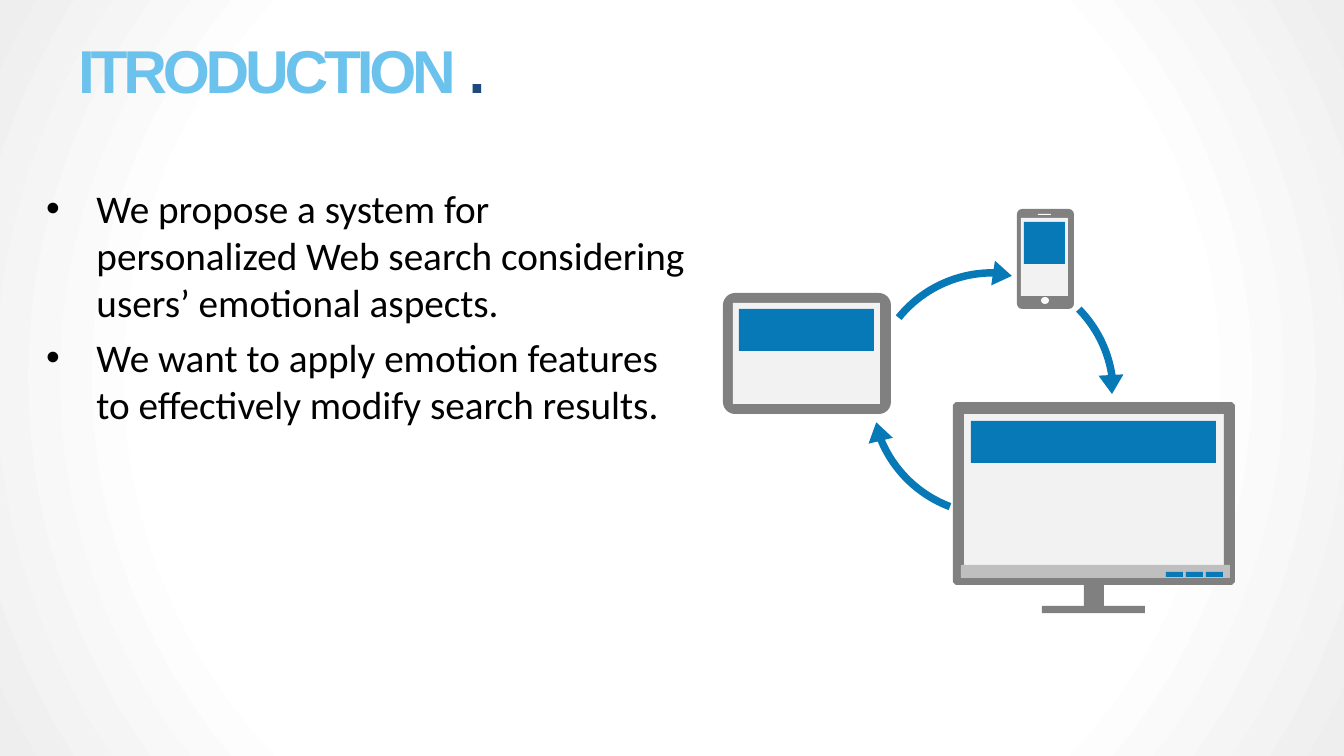
from dataclasses import dataclass
from typing import Any

from lxml.etree import SubElement
from pptx import Presentation
from pptx.dml.color import RGBColor as Rgb
from pptx.enum.shapes import MSO_SHAPE as Preset
from pptx.enum.text import MSO_ANCHOR as Anchor, MSO_AUTO_SIZE as AutoSize, PP_ALIGN as Align
from pptx.oxml.ns import qn
from pptx.util import Emu, Pt

EMU_PER_PIXEL = 914400 / 100.8


@dataclass(frozen=True)
class Theme:
    """Colours, fonts and type sizes of the slide."""
    frame: str = "808080"
    screen: str = "F2F2F2"
    accent: str = "0779B7"
    taskbar: str = "BFBFBF"
    detail: str = "FCFBF9"
    title: str = "6BC2ED"
    full_stop: str = "1F497D"
    body: str = "000000"
    center: str = "FFFFFF"
    edge: str = "EEEEEE"
    title_font: str = "Arial"
    body_font: str = "Calibri"
    title_size: float = 43.2
    body_size: float = 28


THEME = Theme()


@dataclass(frozen=True)
class Part:
    """A preset shape with its box in pixels."""
    preset: Preset
    box: tuple[int, int, int, int]
    color: str
    rotation: float = 0
    adjustments: tuple[float, ...] = ()


def px(pixels: float) -> Emu:
    """Turn pixels into EMU."""
    return Emu(round(pixels * EMU_PER_PIXEL))


def rgb(color: str) -> Rgb:
    """Turn a hex string into a colour."""
    return Rgb.from_string(color)


def apply(target: Any, values: dict[str, Any]) -> None:
    """Set each named attribute on the target."""
    for name, value in values.items():
        setattr(target, name, value)


def paint(shape: Any, color: str) -> None:
    """Give a shape a flat fill without line or shadow."""
    shape.shadow.inherit = False
    shape.fill.solid()
    shape.fill.fore_color.rgb = rgb(color)
    shape.line.fill.background()


def draw_part(shapes: Any, part: Part) -> None:
    """Draw one preset shape."""
    shape = shapes.add_shape(part.preset, *map(px, part.box))
    shape.rotation = part.rotation
    for index, value in enumerate(part.adjustments):
        shape.adjustments[index] = value
    paint(shape, part.color)


def draw_device(slide: Any, parts: list[Part]) -> None:
    """Draw the parts of one device as a group."""
    group = slide.shapes.add_group_shape()
    for part in parts:
        draw_part(group.shapes, part)


def draw_outline(shapes: Any, contours: list[list[tuple[int, int]]], color: str) -> None:
    """Draw closed contours as one freeform; inner ones cut holes."""
    first, *others = contours
    builder = shapes.build_freeform(*first[0], scale=EMU_PER_PIXEL)
    builder.add_line_segments(first[1:], close=True)
    for contour in others:
        builder.move_to(*contour[0])
        builder.add_line_segments(contour[1:], close=True)
    paint(builder.convert_to_shape(), color)


def set_background(slide: Any) -> None:
    """Fill the background with a circular gradient."""
    fill = slide.background.fill
    fill.gradient()
    for stop, position, color in zip(fill.gradient_stops, (0.67, 1), (THEME.center, THEME.edge)):
        stop.position = position
        stop.color.rgb = rgb(color)
    gradient = slide.element.find(".//" + qn("a:gradFill"))
    gradient.remove(gradient.find(qn("a:lin")))
    circle = SubElement(gradient, qn("a:path"), {"path": "circle"})
    SubElement(circle, qn("a:fillToRect"), {side: "50000" for side in "ltrb"})


def place(shape: Any, box: tuple[int, int, int, int], anchor: Anchor) -> Any:
    """Move a placeholder and return its text frame."""
    apply(shape, dict(zip(("left", "top", "width", "height"), map(px, box))))
    apply(shape.text_frame, {"word_wrap": True, "auto_size": AutoSize.NONE, "vertical_anchor": anchor})
    return shape.text_frame


def add_run(paragraph: Any, text: str, color: str, font: dict[str, Any]) -> Any:
    """Add a formatted run to a paragraph."""
    run = paragraph.add_run()
    run.text = text
    apply(run.font, font)
    run.font.color.rgb = rgb(color)
    return run


def write_title(slide: Any) -> None:
    """Write the title with its coloured full stop."""
    paragraph = place(slide.shapes.title, (68, 30, 1210, 79), Anchor.MIDDLE).paragraphs[0]
    paragraph.alignment = Align.LEFT
    font = {"name": THEME.title_font, "size": Pt(THEME.title_size), "bold": True}
    for text, color in (("ITRODUCTION ", THEME.title), (".", THEME.full_stop)):
        run = add_run(paragraph, text, color, font)
        run.font._element.set("spc", "-300")


def write_list(slide: Any, items: list[str]) -> None:
    """Write the bulleted list."""
    frame = place(slide.placeholders[1], (36, 179, 660, 298), Anchor.TOP)
    font = {"name": THEME.body_font, "size": Pt(THEME.body_size)}
    for index, item in enumerate(items):
        paragraph = frame.add_paragraph() if index else frame.paragraphs[0]
        properties = paragraph._p.get_or_add_pPr()
        properties.set("marL", "457200")
        properties.set("indent", "-457200")
        add_run(paragraph, item, THEME.body, font)


def draw_monitor(slide: Any) -> None:
    """Draw the monitor with its stand and taskbar."""
    shapes = slide.shapes.add_group_shape().shapes
    draw_part(shapes, Part(Preset.RECTANGLE, (959, 408, 270, 157), THEME.screen))
    casing = [(956, 402), (1232, 402), (1235, 405), (1235, 582), (1232, 585), (1104, 585),
              (1104, 606), (1145, 606), (1145, 613), (1042, 613), (1042, 606), (1084, 606),
              (1084, 585), (956, 585), (953, 582), (953, 405)]
    opening = [(964, 414), (964, 573), (1224, 573), (1224, 414)]
    draw_outline(shapes, [casing, opening], THEME.frame)
    draw_part(shapes, Part(Preset.RECTANGLE, (961, 565, 269, 13), THEME.taskbar))
    draw_part(shapes, Part(Preset.RECTANGLE, (971, 421, 245, 42), THEME.accent))
    for index in range(3):
        draw_part(shapes, Part(Preset.RECTANGLE, (1166 + 20 * index, 572, 17, 5), THEME.accent))


TABLET = [
    Part(Preset.ROUNDED_RECTANGLE, (723, 293, 168, 121), THEME.frame, 0, (0.1,)),
    Part(Preset.RECTANGLE, (733, 303, 147, 101), THEME.screen),
    Part(Preset.RECTANGLE, (739, 309, 135, 42), THEME.accent),
]
PHONE = [
    Part(Preset.ROUNDED_RECTANGLE, (1017, 209, 57, 100), THEME.frame, 0, (0.09,)),
    Part(Preset.OVAL, (1041, 297, 8, 7), THEME.detail),
    Part(Preset.RECTANGLE, (1038, 214, 13, 1), THEME.detail),
    Part(Preset.RECTANGLE, (1021, 218, 47, 78), THEME.screen),
    Part(Preset.RECTANGLE, (1024, 222, 41, 42), THEME.accent),
]
ARCS = [(157.28, 185.7, 0.03), (6.29, 40.04, 0.03), (64.28, 88.02, 0.03)]
ARROWHEADS = [(866, 422, 346.4), (990, 265, 98.6), (1099, 375, 177)]
ITEMS = [
    "We propose a system for personalized Web search considering users’ emotional aspects.",
    "We want to apply emotion features to effectively modify search results.",
]

presentation = Presentation()
apply(presentation, {"slide_width": px(1344), "slide_height": px(756)})
slide = presentation.slides.add_slide(presentation.slide_layouts[1])
set_background(slide)
write_title(slide)
write_list(slide, ITEMS)
draw_device(slide, TABLET)
draw_device(slide, PHONE)
draw_monitor(slide)
for arc in ARCS:
    draw_part(slide.shapes, Part(Preset.BLOCK_ARC, (868, 269, 249, 249), THEME.accent, 208.5, arc))
for left, top, rotation in ARROWHEADS:
    draw_part(slide.shapes, Part(Preset.ISOSCELES_TRIANGLE, (left, top, 25, 19), THEME.accent, rotation))
presentation.save("out.pptx")
